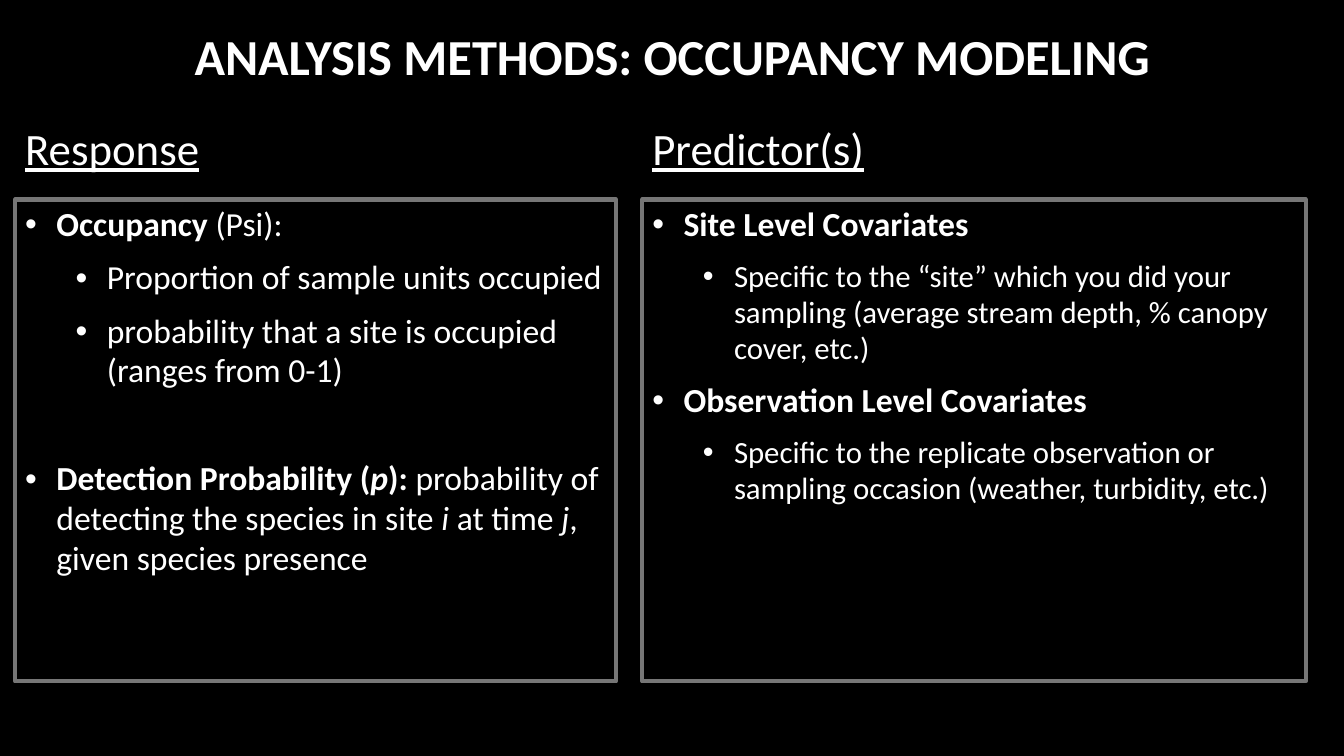
from dataclasses import dataclass

from lxml import etree
from pptx import Presentation
from pptx.dml.color import RGBColor
from pptx.enum.text import MSO_ANCHOR, MSO_AUTO_SIZE, PP_ALIGN
from pptx.oxml.ns import qn
from pptx.util import Inches, Pt

TOP, MID, LOW = MSO_ANCHOR.TOP, MSO_ANCHOR.MIDDLE, MSO_ANCHOR.BOTTOM
NO_FIT = MSO_AUTO_SIZE.NONE
LEFT, CENTER = PP_ALIGN.LEFT, PP_ALIGN.CENTER
COMPARE = 4  # layout: title, two headings, two lists


@dataclass(frozen=True)
class Theme:
    font: str = "Calibri"
    back: RGBColor = RGBColor(0, 0, 0)
    ink: RGBColor = RGBColor(255, 255, 255)
    edge: RGBColor = RGBColor(0x76, 0x76, 0x76)
    title: int = 36
    head: int = 32
    body: int = 24
    small: int = 22


THEME = Theme()
PLAIN, BOLD, SLANT = {}, {"bold": True}, {"italic": True}

# Items: level, size, space before, runs
RESPONSE = [
    (0, THEME.body, 0, [("Occupancy", BOLD), (" (Psi):", PLAIN)]),
    (1, THEME.body, 0, [("Proportion of sample units occupied", PLAIN)]),
    (1, THEME.body, 0, [
        ("probability that a site is occupied (ranges from 0-1)", PLAIN)]),
    (0, THEME.body, 39, [
        ("Detection Probability (", BOLD),
        ("p", {**BOLD, **SLANT}),
        ("): ", BOLD),
        ("probability of detecting the species in site ", PLAIN),
        ("i ", SLANT),
        ("at time ", PLAIN),
        ("j", SLANT),
        (", given species presence", PLAIN)]),
]
PREDICTOR = [
    (0, THEME.body, 0, [("Site Level Covariates", BOLD)]),
    (1, THEME.small, 0, [
        ("Specific to the “site” which you did your sampling "
         "(average stream depth, % canopy cover, etc.)", PLAIN)]),
    (0, THEME.body, 0, [("Observation Level Covariates", BOLD)]),
    (1, THEME.small, 0, [
        ("Specific to the replicate observation or sampling occasion "
         "(weather, turbidity, etc.)", PLAIN)]),
]


def apply(item, values):
    for name, value in values.items():
        setattr(item, name, value)


def place(shape, left, top, width, height, anchor):
    apply(shape, {"left": Inches(left), "top": Inches(top),
                  "width": Inches(width), "height": Inches(height)})
    apply(shape.text_frame, {"word_wrap": True, "auto_size": NO_FIT,
                             "vertical_anchor": anchor})


def add_run(para, text, size, style):
    run = para.add_run()
    run.text = text
    apply(run.font, {"name": THEME.font, "size": Pt(size),
                     "bold": False, "italic": False, **style})
    run.font.color.rgb = THEME.ink


def add_line(shape, text, size, align, style):
    para = shape.text_frame.paragraphs[0]
    apply(para, {"alignment": align, "space_before": Pt(0)})
    add_run(para, text, size, style)


def add_mark(para, level):
    props = para._p.get_or_add_pPr()
    props.set("marL", str(Inches(0.31 + 0.5 * level)))
    props.set("indent", str(Inches(-0.31)))
    tint = etree.SubElement(props, qn("a:buClr"))
    etree.SubElement(tint, qn("a:srgbClr"), val=str(THEME.ink))
    etree.SubElement(props, qn("a:buFont"), typeface="Arial")
    etree.SubElement(props, qn("a:buChar"), char="•")


def add_list(shape, items):
    shape.line.color.rgb = THEME.edge
    shape.line.width = Pt(3)
    frame = shape.text_frame
    for index, (level, size, before, runs) in enumerate(items):
        para = frame.add_paragraph() if index else frame.paragraphs[0]
        add_mark(para, level)
        apply(para, {"level": level, "alignment": LEFT, "line_spacing": 0.98,
                     "space_before": Pt(before), "space_after": Pt(10)})
        for text, style in runs:
            add_run(para, text, size, style)


def main():
    deck = Presentation()
    apply(deck, {"slide_width": Inches(13.33), "slide_height": Inches(7.5)})
    slide = deck.slides.add_slide(deck.slide_layouts[COMPARE])
    slide.background.fill.solid()
    slide.background.fill.fore_color.rgb = THEME.back

    # Title
    title = slide.shapes.title
    place(title, 1.13, 0.14, 11.08, 0.81, MID)
    add_line(title, "ANALYSIS METHODS: OCCUPANCY MODELING", THEME.title,
             CENTER, BOLD)

    # Two columns: heading above framed list
    columns = [(0.15, 5.96, "Response", RESPONSE),
               (6.37, 6.58, "Predictor(s)", PREDICTOR)]
    for index, (left, width, name, items) in enumerate(columns):
        head = slide.placeholders[1 + 2 * index]
        place(head, left, 1.15, 5.15, 0.63, LOW)
        add_line(head, name, THEME.head, LEFT, {"underline": True})
        head.text_frame.paragraphs[0].space_after = Pt(10)
        box = slide.placeholders[2 + 2 * index]
        place(box, left, 1.98, width, 4.78, TOP)
        add_list(box, items)

    deck.save("out.pptx")


if __name__ == "__main__":
    main()
